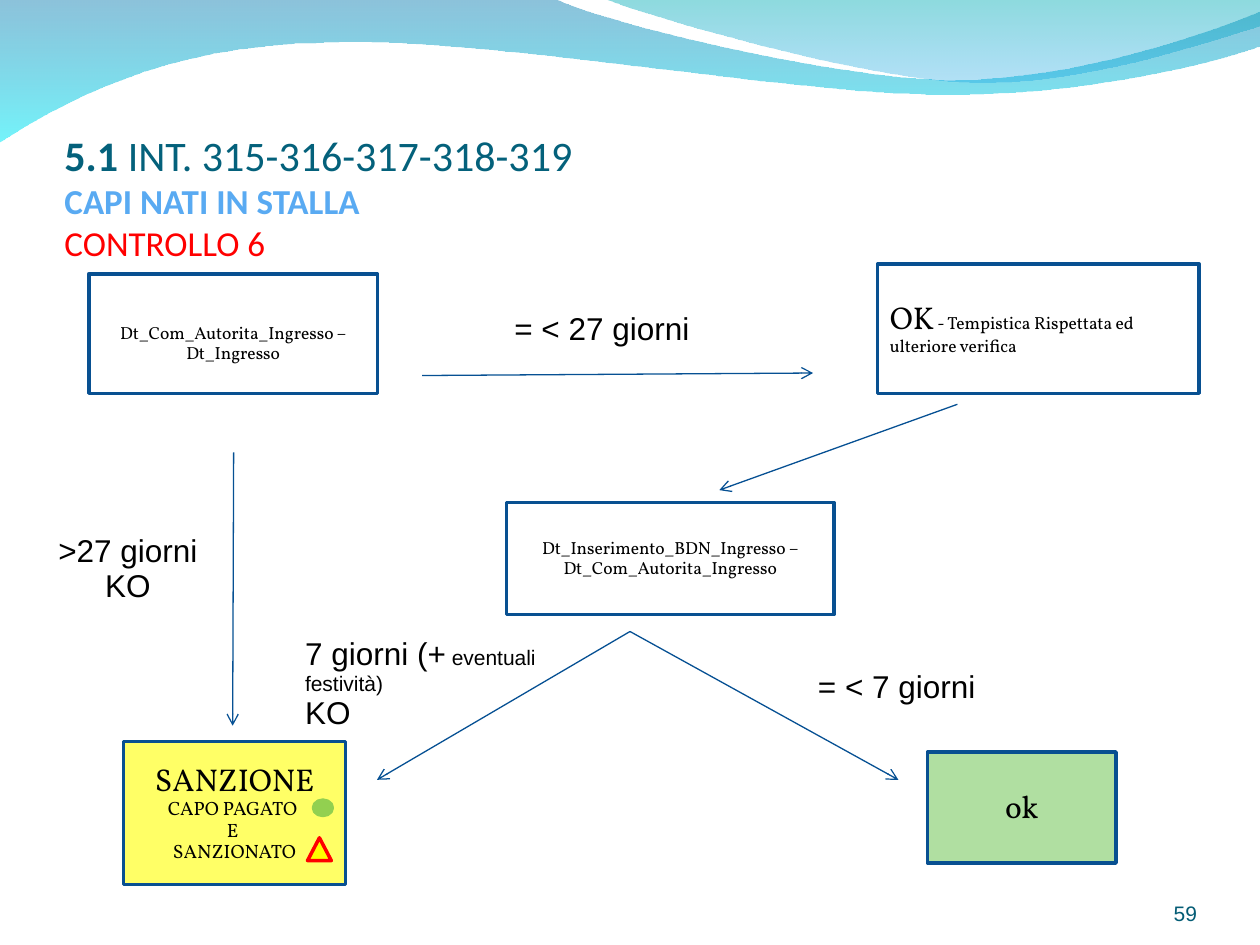
from lxml.etree import SubElement
from pptx import Presentation
from pptx.dml.color import RGBColor
from pptx.enum.shapes import MSO_CONNECTOR as Connector, MSO_SHAPE as Shape
from pptx.enum.text import MSO_ANCHOR as Anchor, MSO_AUTO_SIZE as AutoSize, PP_ALIGN as Align
from pptx.oxml.ns import qn
from pptx.util import Cm, Pt

WHITE = RGBColor(0xFF, 0xFF, 0xFF)
BLACK = RGBColor(0, 0, 0)
RED = RGBColor(0xFF, 0, 0)
YELLOW = RGBColor(0xFF, 0xFF, 0)
PALE_YELLOW = RGBColor(0xFF, 0xFF, 0x66)
PALE_GREEN = RGBColor(0xB0, 0xDF, 0xA1)
GREEN = RGBColor(0x92, 0xD0, 0x50)
BORDER = RGBColor(0x08, 0x50, 0x91)
ARROW = RGBColor(0x06, 0x50, 0x93)
TITLE = RGBColor(0x04, 0x61, 0x7B)
SUBTITLE = RGBColor(0x59, 0xAA, 0xF2)
NUMBER = RGBColor(0x04, 0x5C, 0x75)
WAVE_TOP = RGBColor(0x00, 0x79, 0xAF)
WAVE_BOTTOM = RGBColor(0x00, 0xEB, 0xF8)
CREST_TOP = RGBColor(0x00, 0xAD, 0xB6)
CREST_BOTTOM = RGBColor(0x00, 0x9B, 0xE5)


def write(shape, paragraphs, name, alignment, color=BLACK):
    frame = shape.text_frame
    for index, runs in enumerate(paragraphs):
        paragraph = frame.add_paragraph() if index else frame.paragraphs[0]
        paragraph.alignment = alignment
        paragraph.line_spacing = 0.93
        for text, size in runs:
            run = paragraph.add_run()
            run.text = text
            run.font.name = name
            run.font.size = Pt(size)
            run.font.color.rgb = color


def bend(freeform, segments):
    lines = iter(list(freeform.element.iter(qn("a:lnTo"))))
    for segment in segments:
        first, *others = [next(lines) for point in segment]
        if others:
            curve = first.getparent().makeelement(qn("a:cubicBezTo"))
            first.addprevious(curve)
            for line in (first, *others):
                curve.append(line[0])
                line.getparent().remove(line)


presentation = Presentation()
presentation.slide_width = Cm(25.4)
presentation.slide_height = Cm(19.05)
slide = presentation.slides.add_slide(presentation.slide_layouts[5])
shapes = slide.shapes

waves = [
    ((0, -0.03), [
        [(11.18, -0.03)],
        [(12.09, 0.43), (16.87, 1.6), (19.25, 1.6)],
        [(21.67, 1.6), (24.33, 0.66), (25.4, 0.23)],
        [(25.43, 0.91)],
        [(24.97, 1.12), (22.1, 1.93), (18.95, 1.9)],
        [(15.8, 1.9), (9.7, 0.71), (6.53, 0.86)],
        [(3.28, 0.89), (1.17, 2.11), (-0.03, 2.87)],
    ], [(WAVE_TOP, 45), (WAVE_BOTTOM, 55)]),
    ((12.17, -0.03), [
        [(12.93, 0.28), (17.32, 1.57), (19.53, 1.65)],
        [(21.74, 1.75), (24.41, 0.81), (25.4, 0.53)],
        [(25.4, 0)],
    ], [(CREST_TOP, 45), (CREST_BOTTOM, 30)]),
]
for start, segments, colors in waves:
    builder = shapes.build_freeform(*map(Cm, start))
    builder.add_line_segments([(Cm(x), Cm(y)) for segment in segments for x, y in segment], close=True)
    wave = builder.convert_to_shape()
    bend(wave, segments)
    wave.shadow.inherit = False
    wave.line.fill.background()
    wave.fill.gradient()
    wave.fill.gradient_angle = 270
    for stop, (color, opacity), position in zip(wave.fill.gradient_stops, colors, (0, 1)):
        stop.color.rgb = color
        stop.position = position
    for element, (color, opacity) in zip(wave.element.iter(qn("a:gs")), colors):
        SubElement(element[0], qn("a:alpha"), val=str(opacity * 1000))

title = shapes.title
title.left, title.top, title.width, title.height = Cm(1.3), Cm(1.26), Cm(22.86), Cm(4.06)
title_format = {
    "margin_left": 0, "margin_right": 0, "margin_top": Cm(0.13), "margin_bottom": 0,
    "vertical_anchor": Anchor.BOTTOM, "auto_size": AutoSize.NONE, "word_wrap": True,
}
for attribute, value in title_format.items():
    setattr(title.text_frame, attribute, value)
heading = title.text_frame.paragraphs[0]
heading.alignment = Align.LEFT
title_runs = [
    ("5.1 ", 24, True, TITLE, False),
    ("INT. 315-316-317-318-319", 24, False, TITLE, True),
    ("CAPI NATI IN STALLA", 20, True, SUBTITLE, True),
    ("CONTROLLO 6", 20, False, RED, False),
]
for text, size, bold, color, ends_line in title_runs:
    run = heading.add_run()
    run.text = text
    for attribute, value in {"name": "Calibri", "size": Pt(size), "bold": bold}.items():
        setattr(run.font, attribute, value)
    run.font.color.rgb = color
    if ends_line:
        heading.add_line_break()

labels = [
    ((0.84, 10.64, 3.48, 2.39), False, Align.CENTER, [[(">27 giorni ", 18)], [("KO", 18)]]),
    ((10.12, 6.17, 4.04, 0.97), False, Align.LEFT, [[("= < 27 giorni", 18)]]),
    ((5.9, 12.73, 5.41, 2.16), True, Align.LEFT,
     [[("7 giorni (+", 18), (" eventuali festività)", 12)], [("KO", 18)]]),
    ((16.24, 13.39, 3.68, 0.97), False, Align.LEFT, [[("= < 7 giorni", 18)]]),
]
for place, wrap, alignment, paragraphs in labels:
    label = shapes.add_textbox(*map(Cm, place))
    label.text_frame.word_wrap = wrap
    label.text_frame.auto_size = AutoSize.SHAPE_TO_FIT_TEXT
    write(label, paragraphs, "Arial", alignment)

arrows = [
    (8.51, 7.57, 16.39, 7.52),
    (4.71, 9.12, 4.69, 14.63),
    (19.3, 8.15, 14.5, 9.88),
    (12.7, 12.73, 7.6, 15.72),
    (12.7, 12.73, 18.11, 15.72),
]
for ends in arrows:
    arrow = shapes.add_connector(Connector.STRAIGHT, *map(Cm, ends))
    arrow.line.color.rgb = ARROW
    arrow.line.width = Pt(0.75)
    SubElement(arrow.element.spPr.find(qn("a:ln")), qn("a:tailEnd"), type="arrow")
    SubElement(arrow.element.spPr, qn("a:effectLst"))

penalty_group = shapes.add_group_shape().shapes
boxes = [
    (shapes, Shape.RECTANGLE, (1.79, 5.52, 5.82, 2.41), WHITE, BORDER, Align.CENTER, 0.52,
     [[("Dt_Com_Autorita_Ingresso –Dt_Ingresso", 10)]]),
    (shapes, Shape.RECTANGLE, (17.69, 5.32, 6.48, 2.61), WHITE, BORDER, Align.LEFT, 0.13,
     [[("OK", 18), (" - Tempistica Rispettata ed ulteriore verifica", 10)]]),
    (shapes, Shape.RECTANGLE, (18.7, 15.16, 3.8, 2.24), PALE_GREEN, BORDER, Align.CENTER, 0.13,
     [[("ok", 18)]]),
    (shapes, Shape.RECTANGLE, (10.21, 10.13, 6.6, 2.26), WHITE, BORDER, Align.CENTER, 0.13,
     [[("Dt_Inserimento_BDN_Ingresso – Dt_Com_Autorita_Ingresso", 10)]]),
    (penalty_group, Shape.RECTANGLE, (2.49, 14.95, 4.48, 2.88), PALE_YELLOW, BORDER, Align.CENTER, 0.13,
     [[("SANZIONE", 18)], [("CAPO PAGATO ", 11)], [("E ", 11)], [("SANZIONATO", 11)]]),
    (penalty_group, Shape.FLOWCHART_CONNECTOR, (6.32, 16.13, 0.38, 0.31), GREEN, GREEN, None, 0.13, []),
    (penalty_group, Shape.ISOSCELES_TRIANGLE, (6.2, 16.89, 0.48, 0.46), YELLOW, RED, None, 0.13, []),
]
for parent, kind, place, fill, border, alignment, margin_top, paragraphs in boxes:
    box = parent.add_shape(kind, *map(Cm, place))
    box.shadow.inherit = False
    box.fill.solid()
    box.fill.fore_color.rgb = fill
    box.line.color.rgb = border
    box.line.width = Pt(2)
    box.text_frame.word_wrap = True
    box.text_frame.vertical_anchor = Anchor.MIDDLE
    box.text_frame.margin_top = Cm(margin_top)
    write(box, paragraphs, "Vollkorn", alignment)

number = shapes.add_textbox(Cm(22.02), Cm(17.65), Cm(2.11), Cm(1.02))
number_format = {
    "margin_left": 0, "margin_right": 0, "margin_top": 0, "margin_bottom": 0,
    "vertical_anchor": Anchor.BOTTOM, "word_wrap": True,
}
for attribute, value in number_format.items():
    setattr(number.text_frame, attribute, value)
write(number, [[("59", 12)]], "Arial", Align.RIGHT, NUMBER)

presentation.save("out.pptx")
